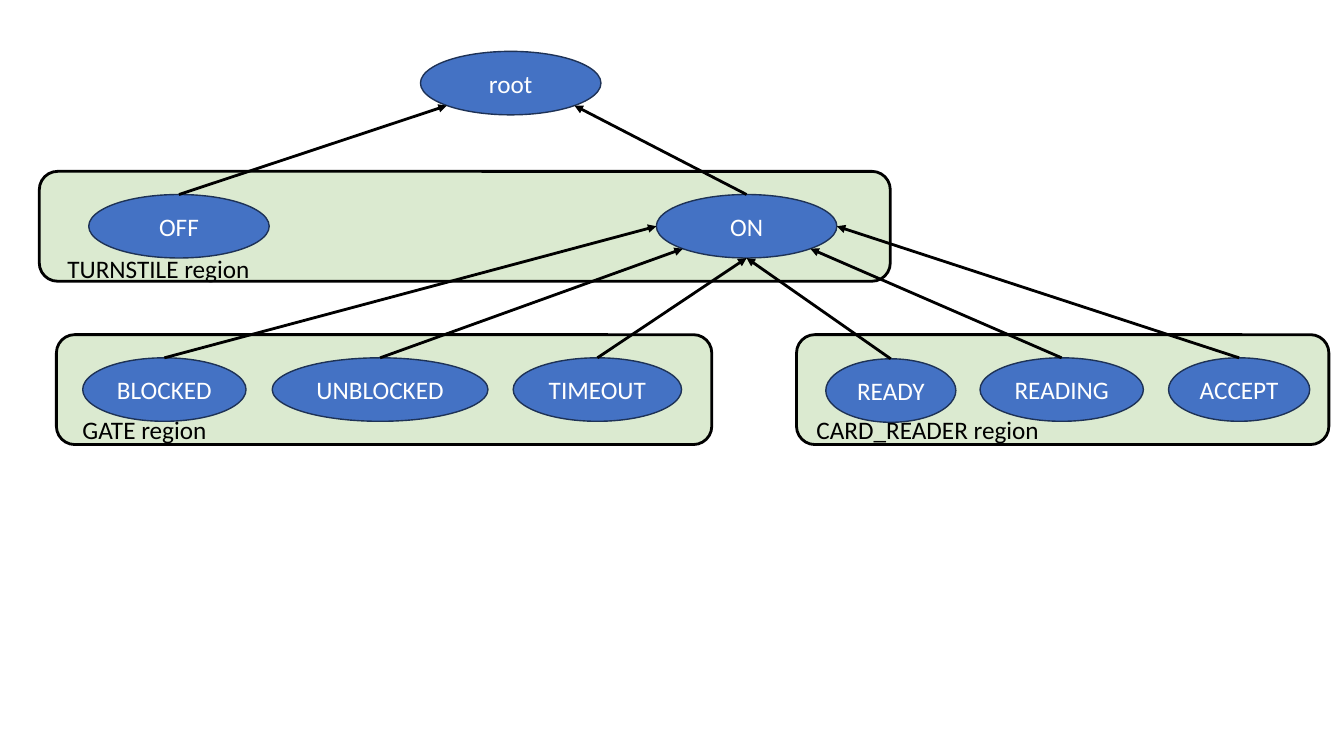
import math

from lxml import etree
from pptx import Presentation
from pptx import util as u
from pptx.dml.color import RGBColor
from pptx.enum import shapes, text
from pptx.oxml.ns import qn

PX = 9144  # 100 px to the inch

# Connection sites of an ellipse, counted anticlockwise from the top
TOP, LEFT, BOTTOM_LEFT, BOTTOM, BOTTOM_RIGHT, RIGHT = 0, 2, 3, 4, 5, 6


def px(*lengths):
    return [u.Emu(length * PX) for length in lengths]


def color(hex_code):
    return RGBColor.from_string(hex_code)


def site_point(ellipse, site):
    angle = math.radians(90 + 45 * site)
    rx, ry = ellipse.width / 2, ellipse.height / 2
    return (round(ellipse.left + rx + rx * math.cos(angle)),
            round(ellipse.top + ry - ry * math.sin(angle)))


class StateDiagram:
    font = {"name": "Calibri", "size": u.Pt(18)}
    region_fill, region_alpha = "70AD47", 25
    state_fill, state_line = "4472C4", "1E3256"
    ink, state_ink = "000000", "FFFFFF"

    def __init__(self, slide):
        self.shapes = slide.shapes

    def box(self, preset, bounds, fill, line, width):
        shape = self.shapes.add_shape(preset, *px(*bounds))
        shape.shadow.inherit = False
        shape.fill.solid()
        shape.fill.fore_color.rgb = color(fill)
        shape.line.color.rgb = color(line)
        shape.line.width = u.Pt(width)
        return shape

    def caption(self, shape, words, ink, align, frame_format):
        frame = shape.text_frame
        for name, value in frame_format.items():
            setattr(frame, name, value)
        paragraph = frame.paragraphs[0]
        paragraph.alignment = align
        run = paragraph.add_run()
        run.text = words
        for name, value in self.font.items():
            setattr(run.font, name, value)
        run.font.color.rgb = color(ink)

    def region(self, *bounds):
        region = self.box(shapes.MSO_SHAPE.ROUNDED_RECTANGLE, bounds,
                          self.region_fill, self.ink, 2)
        rgb = region.element.spPr.find(qn("a:solidFill")).find(qn("a:srgbClr"))
        etree.SubElement(rgb, qn("a:alpha"), val=str(self.region_alpha * 1000))

    def state(self, words, left, top, width, height=63):
        state = self.box(shapes.MSO_SHAPE.OVAL, (left, top, width, height),
                         self.state_fill, self.state_line, 1)
        self.caption(state, words, self.state_ink, text.PP_ALIGN.CENTER,
                     {"vertical_anchor": text.MSO_ANCHOR.MIDDLE, "word_wrap": False})
        return state

    def arrow(self, child, parent, parent_site):
        arrow = self.shapes.add_connector(
            shapes.MSO_CONNECTOR.STRAIGHT,
            *site_point(child, TOP), *site_point(parent, parent_site))
        arrow.line.color.rgb = color(self.ink)
        arrow.line.width = u.Pt(2)
        properties = arrow.element.spPr
        etree.SubElement(properties.find(qn("a:ln")), qn("a:tailEnd"), type="triangle")
        etree.SubElement(properties, qn("a:effectLst"))
        # Glue both ends to the states
        glue = next(arrow.element.iter(qn("p:cNvCxnSpPr")))
        for tag, state, site in (("a:stCxn", child, TOP), ("a:endCxn", parent, parent_site)):
            etree.SubElement(glue, qn(tag), id=str(state.shape_id), idx=str(site))

    def label(self, words, left, top):
        label = self.shapes.add_textbox(*px(left, top, 256, 40))
        self.caption(label, words, self.ink, text.PP_ALIGN.LEFT,
                     {"word_wrap": True, "auto_size": text.MSO_AUTO_SIZE.SHAPE_TO_FIT_TEXT})


def main():
    prs = Presentation()
    prs.slide_width, prs.slide_height = u.Inches(13.33), u.Inches(7.5)
    diagram = StateDiagram(prs.slides.add_slide(prs.slide_layouts[6]))

    # Regions
    for bounds in ((790, 332, 528, 109), (56, 332, 650, 109), (39, 170, 844, 109)):
        diagram.region(*bounds)

    # Root and turnstile states
    root = diagram.state("root", 417, 51, 179)
    off = diagram.state("OFF", 88, 193, 179)
    on = diagram.state("ON", 651, 193, 179)

    # Gate and card reader states, each with the side of ON it points to
    substates = [
        (diagram.state(words, left, top, width), site)
        for words, left, top, width, site in (
            ("BLOCKED", 82, 355, 162, LEFT),
            ("UNBLOCKED", 270, 355, 214, BOTTOM_LEFT),
            ("TIMEOUT", 509, 355, 167, BOTTOM),
            ("READY", 819, 356, 129, BOTTOM),
            ("READING", 972, 355, 162, BOTTOM_RIGHT),
            ("ACCEPT", 1159, 355, 140, RIGHT),
        )
    ]

    # Arrows from child to parent
    diagram.arrow(off, root, BOTTOM_LEFT)
    diagram.arrow(on, root, BOTTOM_RIGHT)
    for substate, site in substates:
        diagram.arrow(substate, on, site)

    # Region names
    diagram.label("TURNSTILE region", 57, 246)
    diagram.label("GATE region", 72, 406)
    diagram.label("CARD_READER region", 800, 406)

    prs.save("out.pptx")


if __name__ == "__main__":
    main()
